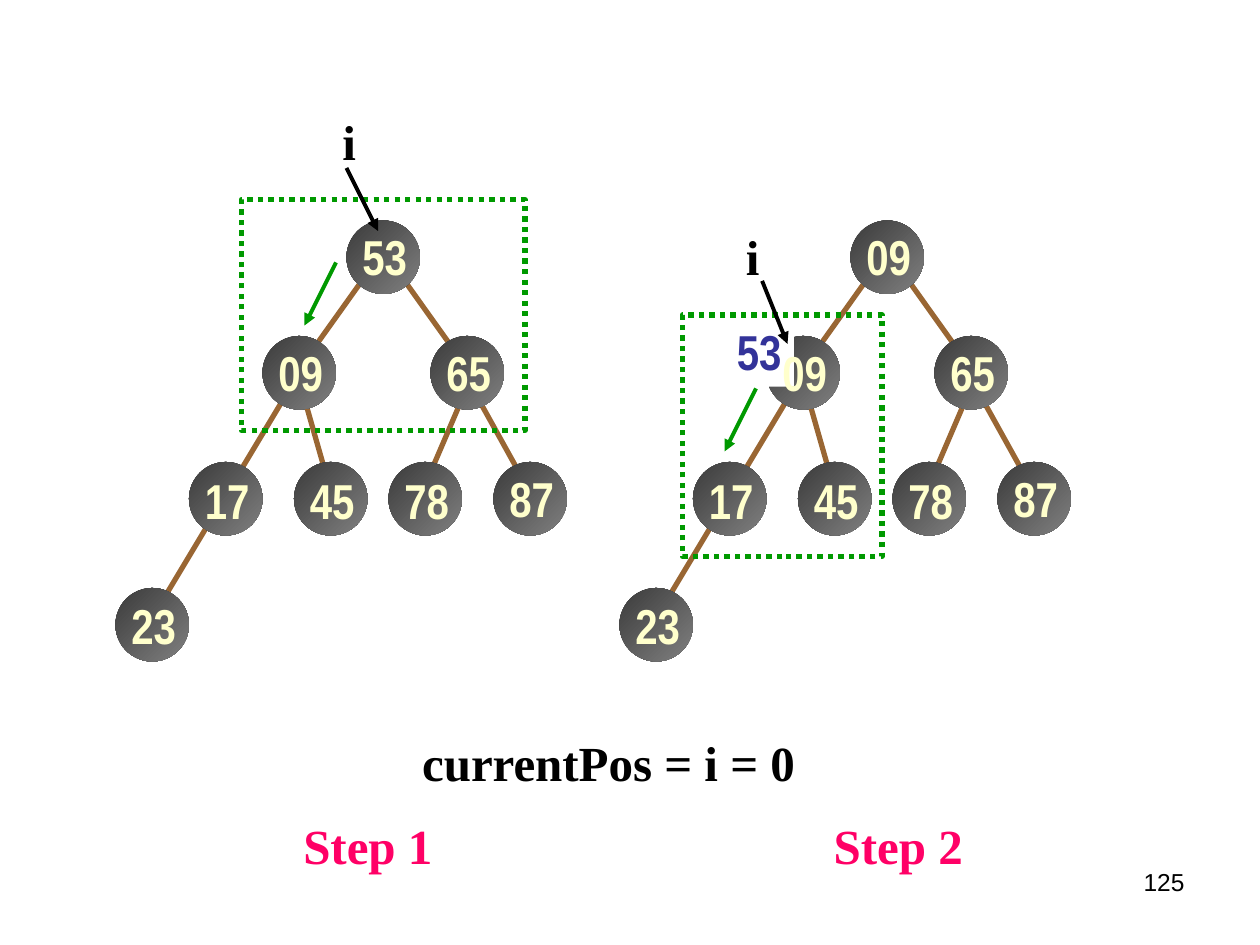
from pptx import Presentation
from pptx.dml.color import RGBColor
from pptx.enum.dml import MSO_LINE
from pptx.enum.shapes import MSO_CONNECTOR, MSO_SHAPE
from pptx.enum.text import MSO_ANCHOR, PP_ALIGN
from pptx.oxml.ns import qn
from pptx.util import Pt
from lxml import etree

STRAIGHT = MSO_CONNECTOR.STRAIGHT
OVAL, RECTANGLE = MSO_SHAPE.OVAL, MSO_SHAPE.RECTANGLE
DOTTED = MSO_LINE.ROUND_DOT
MIDDLE, TOP = MSO_ANCHOR.MIDDLE, MSO_ANCHOR.TOP
CENTER, RIGHT = PP_ALIGN.CENTER, PP_ALIGN.RIGHT

SERIF, NARROW = "Times New Roman", "Arial Narrow"
BLACK, GREEN, BROWN, CREAM = "000000", "009900", "996633", "FFFFCC"
INDIGO, PINK, WHITE = "333399", "FF0066", "FFFFFF"
NODE_SIZE = 42

NODE_SPOTS = [(132, 0), (84, 66), (180, 66), (42, 138),
              (102, 138), (156, 138), (216, 138), (0, 210)]
LABEL_DROPS = [0, 0, 0, 1, 1, 1, 0, 0.5]
EDGES = [(204, 96, 234, 150), (198, 102, 180, 144), (162, 30, 192, 72),
         (108, 102, 120, 144), (144, 30, 114, 72), (96, 102, 24, 222)]


def rgb(value):
    """Turn a hex string into a colour."""
    return RGBColor.from_string(value)


def add_line(page, ends, color, width, arrow=False):
    """Draw a straight line, with an arrowhead at its end if asked."""
    line = page.shapes.add_connector(STRAIGHT, *map(Pt, ends))
    line.line.color.rgb = rgb(color)
    line.line.width = Pt(width)
    if arrow:
        outline = line._element.spPr.find(qn("a:ln"))
        etree.SubElement(outline, qn("a:tailEnd"), type="triangle")
    etree.SubElement(line._element.spPr, qn("a:effectLst"))


def add_text(page, area, text, font, color, size=28, bold=True,
             align=CENTER, anchor=MIDDLE, side_margin=0):
    """Place one line of text in the given area and return its box."""
    box = page.shapes.add_textbox(*map(Pt, area))
    frame = box.text_frame
    frame.text = text
    frame.word_wrap = False
    frame.vertical_anchor = anchor
    frame.margin_left = frame.margin_right = Pt(side_margin)
    para = frame.paragraphs[0]
    para.alignment = align
    span = para.runs[0]
    span.font.name = font
    span.font.size = Pt(size)
    span.font.bold = bold
    span.font.color.rgb = rgb(color)
    return box


def add_node(page, left, top):
    """Draw one shaded tree node."""
    node = page.shapes.add_shape(OVAL, Pt(left), Pt(top), Pt(NODE_SIZE), Pt(NODE_SIZE))
    node.shadow.inherit = False
    node.line.fill.background()
    node.fill.gradient()
    node.fill.gradient_angle = 315
    for stop, color in zip(node.fill.gradient_stops, ("3B3B3B", "808080")):
        stop.color.rgb = rgb(color)


def add_tree(page, left, top, values, moved=None):
    """Draw a heap, with the moved value on a white patch under the labels."""
    for x1, y1, x2, y2 in EDGES:
        add_line(page, (left + x1, top + y1, left + x2, top + y2), BROWN, 3)
    for x, y in NODE_SPOTS:
        add_node(page, left + x, top + y)
    if moved:
        patch = add_text(page, (left + 60, top + 54, 39.6, 41), moved, NARROW, INDIGO)
        patch.fill.solid()
        patch.fill.fore_color.rgb = rgb(WHITE)
    for value, (x, y), drop in zip(values, NODE_SPOTS, LABEL_DROPS):
        add_text(page, (left + x + 2, top + y + drop, 39.6, 41), value, NARROW, CREAM)


def add_focus(page, area, index_spot, pointer, swap):
    """Mark the compared nodes with a dotted frame, index pointer and swap arrow."""
    frame = page.shapes.add_shape(RECTANGLE, *map(Pt, area))
    frame.shadow.inherit = False
    frame.fill.background()
    frame.line.color.rgb = rgb(GREEN)
    frame.line.width = Pt(3)
    frame.line.dash_style = DOTTED
    add_line(page, pointer, BLACK, 2.25, arrow=True)
    add_text(page, (*index_spot, 22.3, 41), "i", SERIF, BLACK)
    add_line(page, swap, GREEN, 2.25, arrow=True)


def add_captions(page):
    """Write the position, the step names and the page number."""
    add_text(page, (234, 414.7, 227.5, 41), "currentPos = i = 0", SERIF, BLACK)
    for left, step in ((166.3, "Step 1"), (469.4, "Step 2")):
        add_text(page, (left, 462.2, 87.8, 41), step, SERIF, PINK)
    add_text(page, (516, 492, 168, 37.5), "125", "Arial", BLACK, size=14,
             bold=False, align=RIGHT, anchor=TOP, side_margin=7.2)


def main():
    """Build the slide and save it."""
    deck = Presentation()
    deck.slide_width, deck.slide_height = Pt(720), Pt(540)
    page = deck.slides.add_slide(deck.slide_layouts[6])
    lower = ["65", "17", "45", "78", "87", "23"]
    add_tree(page, 66, 126, ["53", "09"] + lower)
    add_focus(page, (138, 114, 162, 132), (188.4, 60),
              (198, 96, 216, 132), (192, 150, 174, 186))
    add_tree(page, 354, 126, ["09", "09"] + lower, moved="53")
    add_focus(page, (390, 180, 114, 138), (419, 126),
              (435.5, 160.5, 450, 196.5), (432, 222, 414, 258))
    add_captions(page)
    deck.save("out.pptx")


if __name__ == "__main__":
    main()
